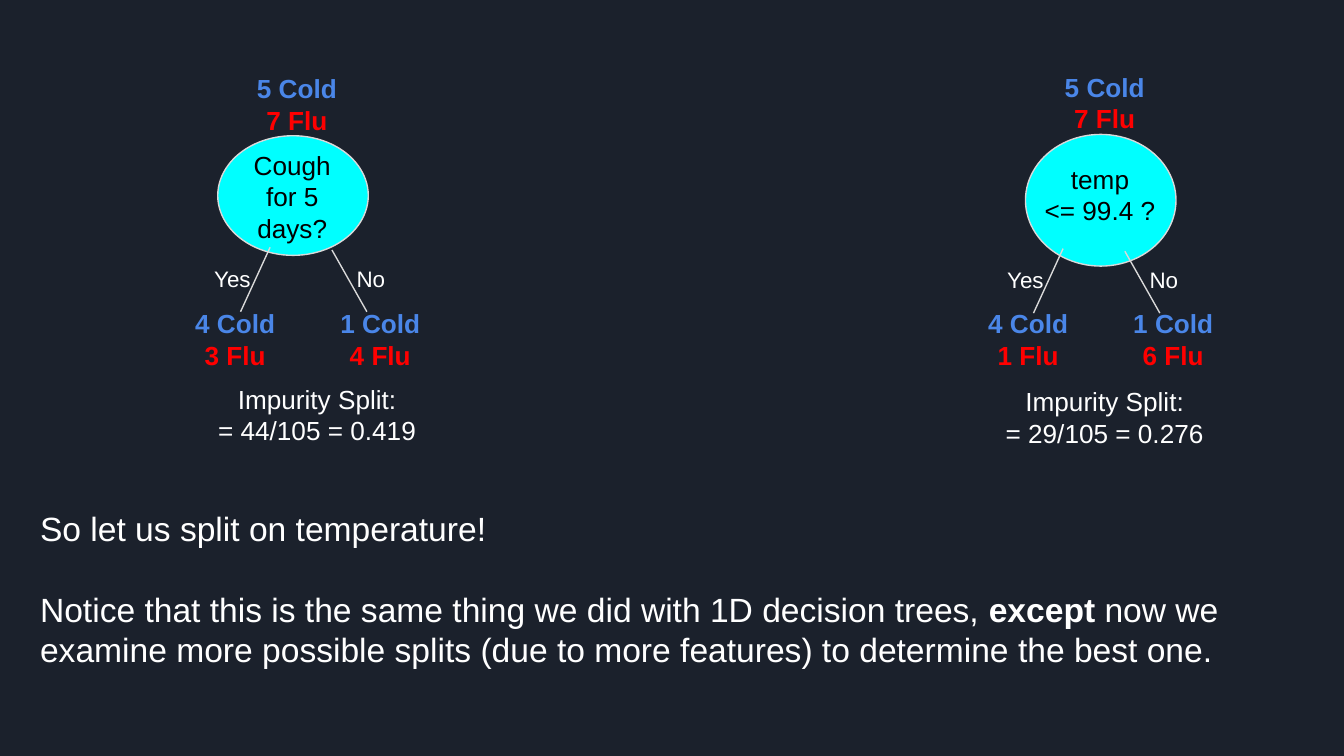
from dataclasses import dataclass

from lxml.etree import SubElement
from pptx import Presentation
from pptx.dml.color import RGBColor
from pptx.enum.shapes import MSO_CONNECTOR, MSO_SHAPE
from pptx.enum.text import MSO_ANCHOR, PP_ALIGN
from pptx.oxml.ns import qn
from pptx.util import Inches, Pt


@dataclass(frozen=True)
class Theme:
    font: str = "Arial"
    background: str = "1B212C"
    text: str = "FFFFFF"
    node: str = "00FFFF"
    node_text: str = "000000"
    line: str = "D9D9D9"
    cold: str = "4A86E8"
    flu: str = "FF0000"
    answer_size: int = 12
    tree_size: int = 14
    body_size: int = 18
    line_width: float = 0.75


@dataclass(frozen=True)
class Tree:
    question: list
    root: tuple        # left and top of the node
    node_height: float
    anchor: MSO_ANCHOR
    branch: tuple      # left of the leaves, top of the answers
    leaves: list       # (cold, flu) for yes and for no
    summary: tuple     # left, top, width and height of the impurity text
    impurity: str


THEME = Theme()
ROOT_COUNTS = (5, 7)
LEAF_TOP, LEAF_STEP = 2.19, 1.08

TREES = [
    Tree(["Cough for 5 days?"], (1.62, 1.01), 0.89, MSO_ANCHOR.TOP,
         (1.35, 1.87), [(4, 3), (1, 4)], (1.49, 2.75, 1.74, 0.69),
         "= 44/105 = 0.419"),
    Tree(["temp", "<= 99.4 ?"], (7.63, 1), 0.98, MSO_ANCHOR.MIDDLE,
         (7.25, 1.88), [(4, 1), (1, 6)], (7.35, 2.77, 1.74, 0.83),
         "= 29/105 = 0.276"),
]


def rgb(value):
    return RGBColor.from_string(value)


def format_paragraph(p, size, color, bold=False, align=PP_ALIGN.CENTER):
    p.alignment = align
    p.font.name, p.font.size, p.font.bold = THEME.font, Pt(size), bold
    p.font.color.rgb = rgb(color)


def add_text_frame(slide, left, top, width, height, anchor=MSO_ANCHOR.TOP):
    sp = slide.shapes.add_textbox(*map(Inches, (left, top, width, height)))
    tf = sp.text_frame
    tf.word_wrap = True
    tf.vertical_anchor = anchor
    tf.margin_left = tf.margin_right = Inches(0.1)
    tf.margin_top = tf.margin_bottom = Inches(0.1)
    return tf


def add_label(slide, box, lines, colors, size=THEME.tree_size, bold=False,
              anchor=MSO_ANCHOR.TOP):
    """Centred text, one paragraph per line, each with its own colour."""
    tf = add_text_frame(slide, *box, anchor)
    tf.text = "\n".join(lines)
    for p, color in zip(tf.paragraphs, colors):
        format_paragraph(p, size, color, bold)


def add_counts(slide, box, counts):
    cold, flu = counts
    add_label(slide, box, [f"{cold} Cold", f"{flu} Flu"],
              [THEME.cold, THEME.flu], bold=True)


def add_node(slide, left, top, width, height):
    sp = slide.shapes.add_shape(
        MSO_SHAPE.OVAL, *map(Inches, (left, top, width, height)))
    sp.shadow.inherit = False
    sp.fill.solid()
    sp.fill.fore_color.rgb = rgb(THEME.node)
    sp.line.color.rgb = rgb(THEME.line)
    sp.line.width = Pt(THEME.line_width)


def add_branch(slide, start, end):
    line = slide.shapes.add_connector(
        MSO_CONNECTOR.STRAIGHT, *map(Inches, (*start, *end)))
    line.line.color.rgb = rgb(THEME.line)
    line.line.width = Pt(THEME.line_width)
    SubElement(line._element.spPr, qn("a:effectLst"))


def add_tree(slide, tree):
    # Impurity of the split
    add_label(slide, tree.summary,
              ["Impurity Split:", tree.impurity], [THEME.text] * 2)

    # Root: node, question and counts
    x, y = tree.root
    add_node(slide, x, y, 1.12, tree.node_height)
    add_label(slide, (x + 0.04, y, 1.03, tree.node_height - 0.08),
              tree.question, [THEME.node_text] * 2, anchor=tree.anchor)
    add_counts(slide, (x + 0.11, y - 0.57, 0.96, 0.56), ROOT_COUNTS)

    # Branches: line, answer and leaf counts; offsets from the branch corner
    x, y = tree.branch
    branches = [("Yes", 0.05, (0.66, -0.03), 0.44),
                ("No", 1.08, (1.12, -0.01), 1.38)]
    for i, (answer, answer_dx, (dx, dy), end_dx) in enumerate(branches):
        add_counts(slide, (x + i * LEAF_STEP, LEAF_TOP, 0.8, 0.56),
                   tree.leaves[i])
        add_label(slide, (x + answer_dx, y, 0.66, 0.37),
                  [answer], [THEME.text], THEME.answer_size)
        add_branch(slide, (x + dx, y + dy), (x + end_dx, y + 0.45))


def add_conclusion(slide):
    tf = add_text_frame(slide, 0.2, 3.68, 9.6, 1.75)
    tf.text = "So let us split on temperature!"
    p = tf.add_paragraph()
    p.space_before = Pt(21.6)
    for text, bold in (
        ("Notice that this is the same thing we did with 1D decision trees, ", False),
        ("except", True),
        (" now we examine more possible splits (due to more features) "
         "to determine the best one.", False),
    ):
        r = p.add_run()
        r.text = text
        r.font.bold = bold
    for p in tf.paragraphs:
        format_paragraph(p, THEME.body_size, THEME.text, None, PP_ALIGN.LEFT)


def main():
    prs = Presentation()
    prs.slide_width = Inches(10)
    prs.slide_height = prs.slide_width * 9 // 16
    slide = prs.slides.add_slide(prs.slide_layouts[6])
    slide.background.fill.solid()
    slide.background.fill.fore_color.rgb = rgb(THEME.background)
    for tree in TREES:
        add_tree(slide, tree)
    add_conclusion(slide)
    prs.save("out.pptx")


if __name__ == "__main__":
    main()
